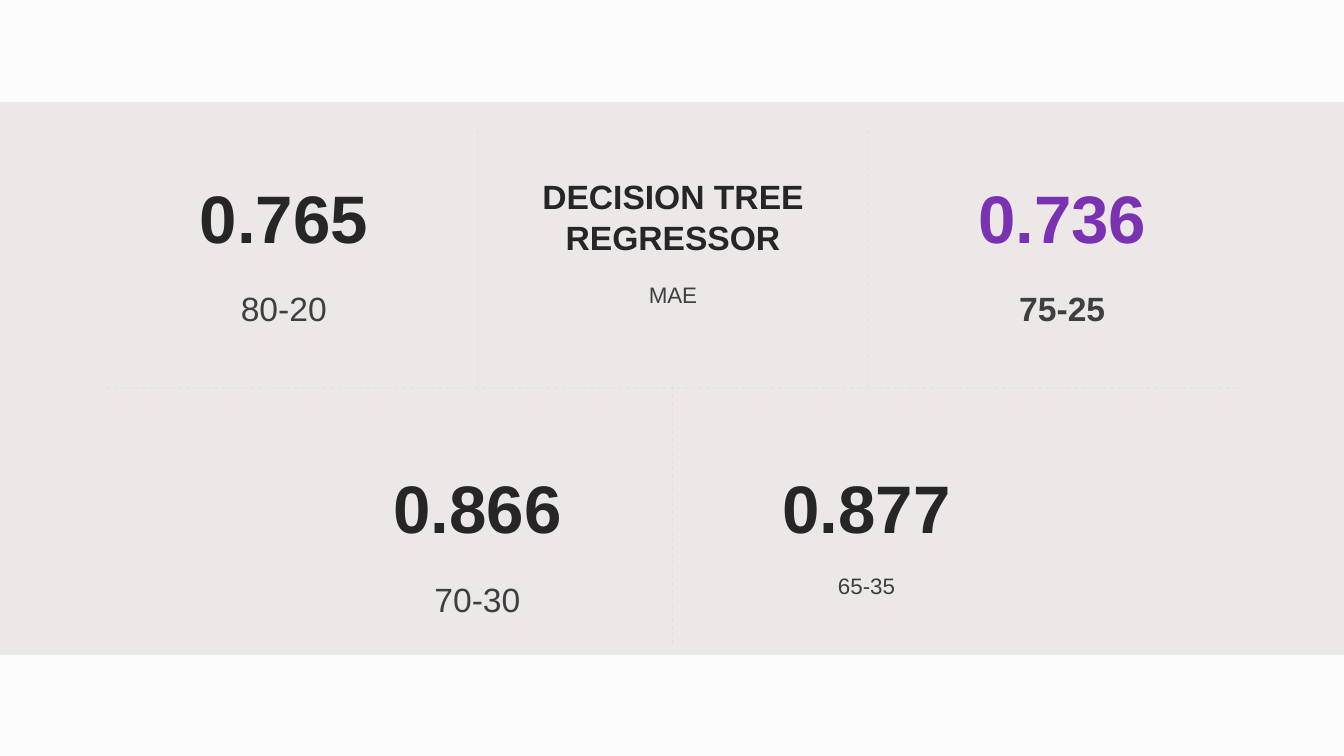
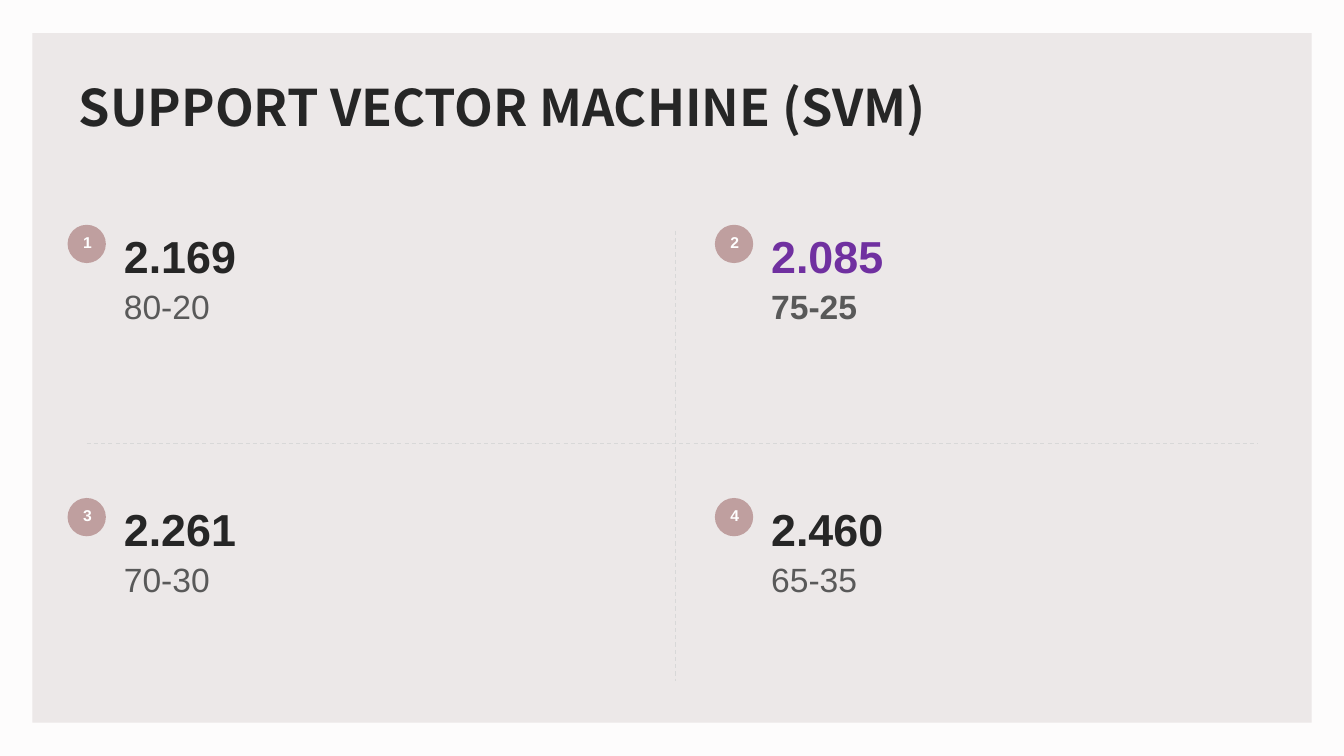
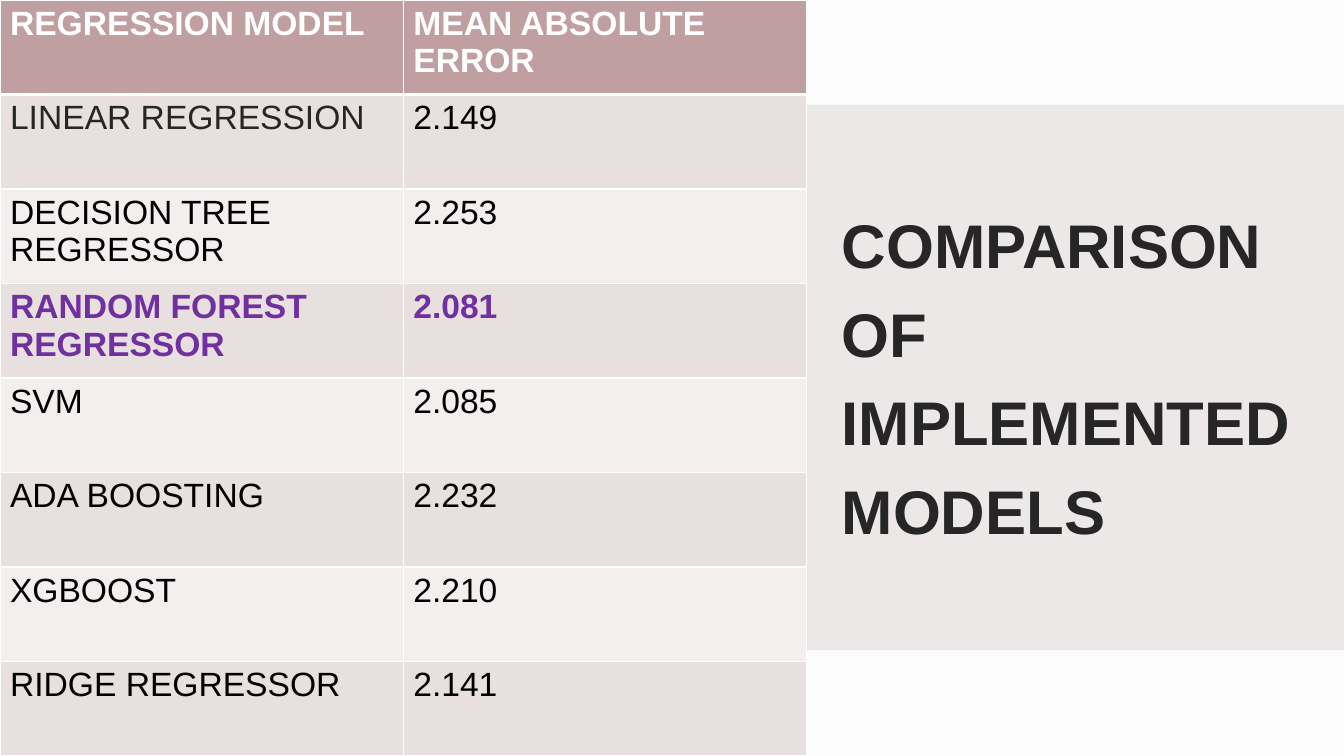
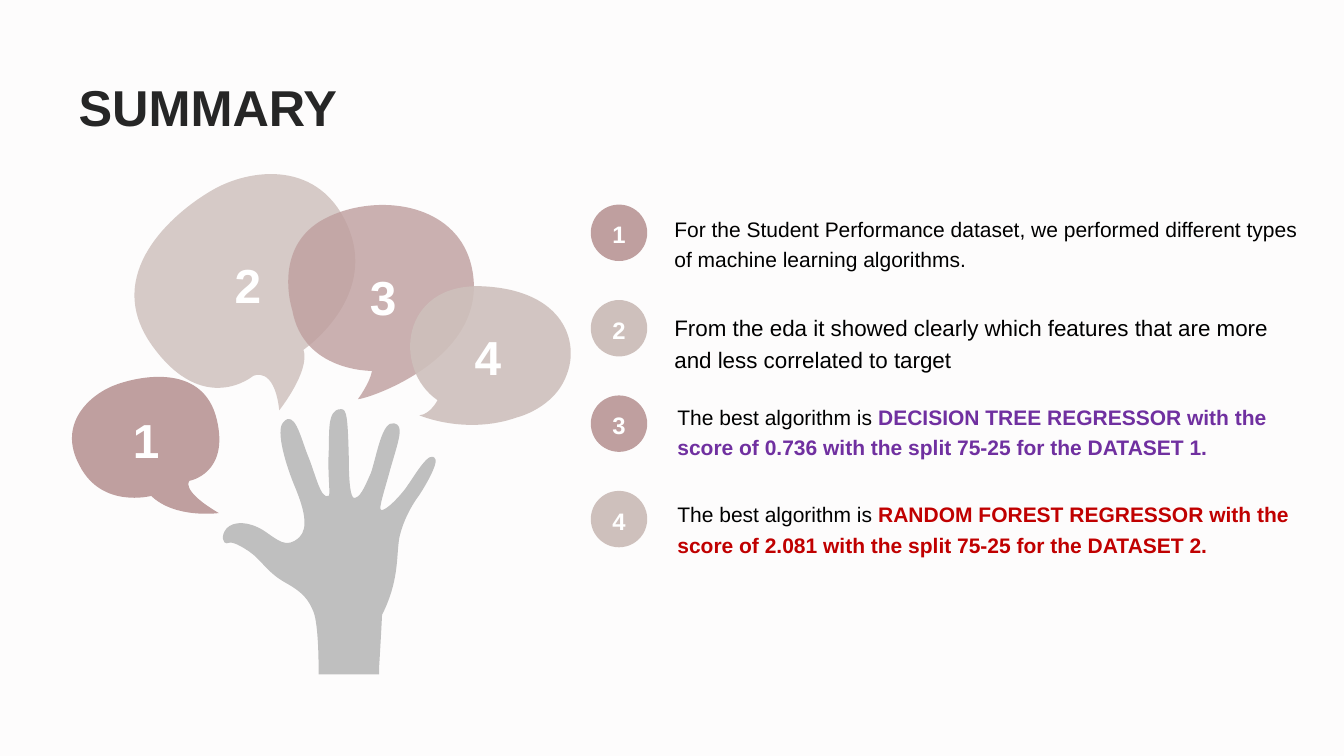
from lxml import etree
from pptx import Presentation
from pptx import util as u
from pptx.dml.color import RGBColor
from pptx.enum import dml, shapes, text
from pptx.oxml import ns

W, H = 13.33, 7.5
HUE = {
    "page": "FDFCFC", "band": "ECE8E8", "ink": "262626", "soft": "3F3F3F",
    "grey": "595959", "black": "000000", "white": "FFFFFF", "rose": "BF9F9F",
    "sand": "CEC0BC", "hand": "BFBFBF", "rule": "D8D8D8", "violet": "7B32B2",
    "purple": "7030A0", "red": "C00000", "odd": "E8DFDF", "even": "F4EFEF",
}
PALM = [
    (3.38, 4.06),
    (3.44, 4.05, 3.45, 4.14, 3.46, 4.54), (3.46, 4.81, 3.48, 4.93, 3.51, 4.94),
    (3.57, 4.94, 3.61, 4.85, 3.68, 4.69), (3.74, 4.51, 3.79, 4.17, 3.91, 4.2),
    (4.01, 4.22, 3.96, 4.35, 3.87, 4.66), (3.82, 4.85, 3.75, 5.05, 3.78, 5.06),
    (3.81, 5.07, 3.91, 4.99, 4.02, 4.85), (4.12, 4.71, 4.27, 4.44, 4.32, 4.56),
    (4.34, 4.61, 4.22, 4.82, 4.16, 4.91), (4.1, 4.99, 4, 5.15, 3.96, 5.34),
    (3.93, 5.53, 3.96, 5.76, 3.79, 6.1), (3.79, 6.1, 3.78, 6.3, 3.76, 6.63),
    (3.76, 6.69), (3.16, 6.69), (3.16, 6.59),
    (3.16, 6.59, 3.16, 6.2, 3.11, 6.07), (3.06, 5.95, 3.01, 5.88, 2.83, 5.78),
    (2.65, 5.68, 2.59, 5.55, 2.47, 5.47), (2.35, 5.39, 2.29, 5.37, 2.25, 5.39),
    (2.22, 5.4, 2.18, 5.32, 2.25, 5.24), (2.32, 5.17, 2.46, 5.17, 2.61, 5.26),
    (2.76, 5.36, 2.84, 5.45, 2.97, 5.33), (3.06, 5.24, 3.02, 5.06, 2.93, 4.84),
    (2.84, 4.63, 2.73, 4.27, 2.81, 4.19), (2.92, 4.06, 2.98, 4.33, 3.05, 4.51),
    (3.13, 4.7, 3.18, 4.96, 3.26, 4.92), (3.28, 4.92, 3.25, 4.71, 3.26, 4.5),
    (3.27, 4.3, 3.24, 4.06, 3.38, 4.06),
]
TALK = [
    ("1", (1.17, 4.02), "rose", 100, [
        (1.88, 4.77),
        (1.88, 4.77, 1.78, 4.86, 2.17, 5.09), (2.17, 5.09, 1.74, 5.15, 1.5, 4.92),
        (1.5, 4.92, 1.01, 5.05, 0.79, 4.62), (0.56, 4.2, 0.9, 3.9, 1.17, 3.81),
        (1.43, 3.72, 2.02, 3.62, 2.15, 4.16), (2.28, 4.7, 1.88, 4.77, 1.88, 4.77)]),
    ("2", (2.18, 2.49), "sand", 82, [
        (2.51, 3.73),
        (2.51, 3.73, 2.72, 3.62, 2.77, 4.07), (2.77, 4.07, 3.08, 3.68, 3.01, 3.47),
        (3.01, 3.47, 3.74, 2.97, 3.46, 2.27), (3.18, 1.57, 2.47, 1.67, 2.1, 1.89),
        (1.72, 2.11, 1, 2.72, 1.51, 3.43), (2.02, 4.14, 2.51, 3.73, 2.51, 3.73)]),
    ("3", (3.52, 2.61), "rose", 81, [
        (2.9, 3.08),
        (2.9, 3.08, 2.69, 2.45, 3.22, 2.17), (3.75, 1.89, 4.66, 2.01, 4.7, 2.81),
        (4.73, 3.6, 3.64, 3.96, 3.55, 3.96), (3.55, 3.96, 3.67, 3.8, 3.69, 3.68),
        (3.69, 3.68, 3.01, 3.69, 2.9, 3.08)]),
    ("4", (4.56, 3.2), "sand", 90, [
        (5.13, 4.14),
        (5.13, 4.14, 5.5, 4.05, 5.62, 3.72), (5.75, 3.4, 5.6, 2.88, 4.79, 2.84),
        (3.97, 2.8, 3.89, 3.66, 4.34, 3.97), (4.34, 3.97, 4.27, 4.11, 4.16, 4.12),
        (4.16, 4.12, 4.62, 4.32, 5.13, 4.14)]),
]


def rgb(hue):
    """Return the named colour."""
    return RGBColor.from_string(HUE[hue])


def inch(*vals):
    """Turn numbers into lengths."""
    return [u.Inches(v) for v in vals]


def fade(node, pct):
    """Set the opacity of the colours under a node."""
    for tint in node.iter(ns.qn("a:srgbClr")):
        etree.SubElement(tint, ns.qn("a:alpha"), val=str(pct * 1000))


def write(frame, words, size=24, hue="ink", bold=False, font="Arial",
          align="LEFT", lead=None, mid=False, pad=(0.1, 0.05, 0.1, 0.05)):
    """Fill a text frame with a string or with (text, format) runs."""
    frame.word_wrap = True
    frame.vertical_anchor = text.MSO_ANCHOR.MIDDLE if mid else text.MSO_ANCHOR.TOP
    (frame.margin_left, frame.margin_top,
     frame.margin_right, frame.margin_bottom) = inch(*pad)
    para = frame.paragraphs[0]
    para.alignment = getattr(text.PP_ALIGN, align)
    if lead:
        para.line_spacing = lead
    for part, own in [(words, {})] if isinstance(words, str) else words:
        run = para.add_run()
        run.text = part
        run.font.size = u.Pt(size)
        run.font.name = font
        run.font.bold = own.get("bold", bold)
        run.font.color.rgb = rgb(own.get("hue", hue))


def label(slide, box, words, **fmt):
    """Add a text box."""
    write(slide.shapes.add_textbox(*inch(*box)).text_frame, words, **fmt)


def paint(shape, hue):
    """Give a shape a flat fill without line or shadow."""
    shape.shadow.inherit = False
    shape.fill.solid()
    shape.fill.fore_color.rgb = rgb(hue)
    shape.line.fill.background()


def solid(slide, kind, box, hue):
    """Add a flat preset shape."""
    shape = slide.shapes.add_shape(kind, *inch(*box))
    paint(shape, hue)
    return shape


def panel(slide, box):
    """Add the pale backing panel."""
    solid(slide, shapes.MSO_SHAPE.RECTANGLE, box, "band")


def badge(slide, box, num, hue, **fmt):
    """Add a numbered disc."""
    disc = solid(slide, shapes.MSO_SHAPE.OVAL, box, hue)
    write(disc.text_frame, num, hue="white", bold=True, align="CENTER", mid=True, **fmt)


def rule(slide, ends, pct=100):
    """Add a thin dashed divider."""
    line = slide.shapes.add_connector(shapes.MSO_CONNECTOR.STRAIGHT, *inch(*ends))
    line.line.color.rgb = rgb("rule")
    line.line.width = u.Pt(0.75)
    line.line.dash_style = dml.MSO_LINE.DASH
    if pct < 100:
        fade(line.element.spPr, pct)
    etree.SubElement(line.element.spPr, ns.qn("a:effectLst"))


def title(slide, words, font="Arial"):
    """Add the slide title."""
    label(slide, (0.67, 0.67, 12, 0.77), words, size=36, bold=True, font=font,
          mid=True, pad=(0.11, 0.04, 0.08, 0.04))


def bounds(curve, steps=20):
    """Return left, top, width and height of an outline."""
    dots = [curve[0]]
    for seg in curve[1:]:
        if len(seg) == 6:
            ctrl = [dots[-1], seg[:2], seg[2:4], seg[4:]]
            for i in range(1, steps):
                t = i / steps
                mix = ((1 - t) ** 3, 3 * t * (1 - t) ** 2, 3 * t * t * (1 - t), t ** 3)
                dots.append([sum(m * c[k] for m, c in zip(mix, ctrl)) for k in (0, 1)])
        dots.append(seg[-2:])
    xs, ys = zip(*dots)
    return min(xs), min(ys), max(xs) - min(xs), max(ys) - min(ys)


def blob(slide, curve, shift, hue, pct=100):
    """Add a curved outline, moved by a shift."""
    x, y, wide, high = bounds(curve)
    pen = slide.shapes.build_freeform(*inch(*curve[0]))
    pen.add_line_segments([inch(*seg[-2:]) for seg in curve[1:]], close=True)
    shape = pen.convert_to_shape()
    shape.left, shape.top, shape.width, shape.height = inch(
        x + shift[0], y + shift[1], wide, high)
    track = next(shape.element.iter(ns.qn("a:path")))
    track.set("w", str(shape.width))
    track.set("h", str(shape.height))
    for step, seg in zip(list(track), curve):
        step.clear()
        if len(seg) == 6:
            step = bend(track, step)
        for px, py in zip(seg[::2], seg[1::2]):
            etree.SubElement(step, ns.qn("a:pt"), x=str(u.Inches(px - x)),
                             y=str(u.Inches(py - y)))
    paint(shape, hue)
    if pct < 100:
        fade(shape.element.spPr, pct)


def bend(track, step):
    """Replace a straight segment by an empty cubic one."""
    curve = etree.Element(ns.qn("a:cubicBezTo"))
    track.replace(step, curve)
    return curve


def score(slide, x, y, head, note, big=48, small=24, hue="ink", bold=False):
    """Add one centred figure with its caption."""
    label(slide, (x, y, 3.57, 0.91), head, size=big, hue=hue, bold=True, align="CENTER")
    label(slide, (x, y + 0.91, 3.57, 0.5), note, size=small, hue="soft",
          bold=bold, align="CENTER", lead=1.5)


def tree(slide, x=1.03, y=1.7, step=3.86, drop=2.88, indent=1.92):
    """Build the decision tree scores."""
    panel(slide, (0, 1.01, W, 5.49))
    cells = [
        (0, 0, "0.765", "80-20", {}),
        (2, 0, "0.736", "75-25", {"hue": "violet", "bold": True}),
        (1, 0, "DECISION TREE REGRESSOR", "MAE", {"big": 24, "small": 16}),
        (0, 1, "0.866", "70-30", {}),
        (1, 1, "0.877", "65-35", {"small": 16}),
    ]
    for col, row, head, note, fmt in cells:
        score(slide, x + col * step + row * indent, y + row * drop, head, note, **fmt)
    for ends in [(1.05, 3.85, 12.3, 3.85), (4.74, 1.29, 4.74, 3.84),
                 (8.61, 1.29, 8.61, 3.84), (6.67, 3.84, 6.67, 6.4)]:
        rule(slide, ends, 50)


def entry(slide, x, y, num, head, note, best):
    """Add one numbered score."""
    label(slide, (x + 0.46, y + 0.36, 5.11, 1.54), note, hue="grey", bold=best, lead=1.5)
    label(slide, (x + 0.46, y - 0.01, 5.11, 0.44), head, size=32, bold=True,
          hue="purple" if best else "ink")
    badge(slide, (x, y, 0.38, 0.38), num, "rose", size=11.2, lead=0.8)


def vector(slide, x=0.67, y=2.23, step=6.42, drop=2.71):
    """Build the support vector machine scores."""
    panel(slide, (0.32, 0.33, 12.69, 6.84))
    rule(slide, (0.86, 4.4, 12.47, 4.4))
    rule(slide, (6.7, 2.29, 6.7, 6.76))
    marks = [("2.169", "80-20"), ("2.085", "75-25"), ("2.261", "70-30"), ("2.460", "65-35")]
    for i, (head, note) in enumerate(marks):
        row, col = divmod(i, 2)
        entry(slide, x + col * step, y + row * drop, str(i + 1), head, note, i == 1)
    title(slide, "SUPPORT VECTOR MACHINE (SVM)", font="Noto Sans CJK SC")


def edge(cell, **wide):
    """Draw white cell borders of the given widths."""
    props = cell._tc.get_or_add_tcPr()
    for side in "LRTB":
        line = etree.SubElement(props, ns.qn("a:ln" + side),
                                w=str(u.Pt(wide.get(side, 1))))
        fill = etree.SubElement(line, ns.qn("a:solidFill"))
        etree.SubElement(fill, ns.qn("a:srgbClr"), val=HUE["white"])


def grid(slide, box, rows, best):
    """Add the model table and stress the best row."""
    table = slide.shapes.add_table(len(rows), 2, *inch(*box)).table
    for line in table.rows:
        line.height = u.Inches(box[3] / len(rows))
    for i, row in enumerate(rows):
        for j, words in enumerate(row):
            cell = table.cell(i, j)
            edge(cell, **({"B": 3} if i == 0 else {"T": 3} if i == 1 else {}))
            cell.fill.solid()
            cell.fill.fore_color.rgb = rgb("odd" if i % 2 else "even") if i else rgb("rose")
            hue = ("white" if i == 0 else "purple" if i == best
                   else "ink" if (i, j) == (1, 0) else "black")
            write(cell.text_frame, words, hue=hue, bold=i in (0, best))


def models(slide):
    """Build the comparison of models."""
    panel(slide, (0, 1.04, W, 5.41))
    label(slide, (8.25, 1.79, 4.85, 3.75), "COMPARISON OF IMPLEMENTED MODELS",
          size=44, bold=True, lead=1.2, mid=True)
    rows = [
        ("REGRESSION MODEL", "MEAN ABSOLUTE ERROR"),
        ("LINEAR REGRESSION", "2.149"),
        ("DECISION TREE REGRESSOR", "2.253"),
        ("RANDOM FOREST REGRESSOR", "2.081"),
        ("SVM", "2.085"),
        ("ADA BOOSTING", "2.232"),
        ("XGBOOST", "2.210"),
        ("RIDGE REGRESSOR", "2.141"),
    ]
    grid(slide, (0, 0, 8, H), rows, best=3)


def figure(slide, x, y):
    """Add the hand and its speech bubbles."""
    dx, dy = x - 0.71, y - 1.72
    blob(slide, PALM, (dx, dy), "hand")
    for num, spot, hue, pct, curve in TALK:
        blob(slide, curve, (dx, dy), hue, pct)
    for num, spot, *rest in TALK:
        label(slide, (spot[0] + dx, spot[1] + dy, 0.56, 0.67), num, size=34.1,
              hue="white", bold=True, align="CENTER", mid=True)


def points(slide, x, y, span=2.84):
    """Add the numbered conclusions."""
    lead = "The best algorithm is "
    items = [
        ((0.73, -0.05, 6.54, 0.83), 15,
         "For the Student Performance dataset, we performed different types "
         "of machine learning algorithms."),
        ((0.73, 0.95, 6.46, 0.81), 16,
         "From the eda it showed clearly which features that are more "
         "and less correlated to target"),
        ((0.76, 1.77, 6.63, 0.92), 15,
         [(lead, {}), ("DECISION TREE REGRESSOR with the score of 0.736 with the split "
                       "75-25 for the DATASET 1.", {"hue": "purple", "bold": True})]),
        ((0.76, 2.8, 6.63, 0.8), 15,
         [(lead, {}), ("RANDOM FOREST REGRESSOR with the score of 2.081 with the split "
                       "75-25 for the DATASET 2.", {"hue": "red", "bold": True})]),
    ]
    step = span / (len(items) - 1)
    for i, ((dx, dy, wide, high), size, words) in enumerate(items):
        label(slide, (x + dx, y + dy, wide, high), words, size=size, hue="black",
              lead=1.2, mid=True)
        badge(slide, (x, y + i * step, 0.56, 0.56), str(i + 1),
              "sand" if i % 2 else "rose", size=17, lead=1.1)


def recap(slide):
    """Build the summary."""
    title(slide, "SUMMARY")
    figure(slide, 0.71, 1.72)
    points(slide, 5.86, 2.03)


def main():
    """Build and save the slides."""
    deck = Presentation()
    deck.slide_width, deck.slide_height = inch(W, H)
    for build in (tree, vector, models, recap):
        slide = deck.slides.add_slide(deck.slide_layouts[6])
        slide.background.fill.solid()
        slide.background.fill.fore_color.rgb = rgb("page")
        build(slide)
    deck.save("out.pptx")


if __name__ == "__main__":
    main()
